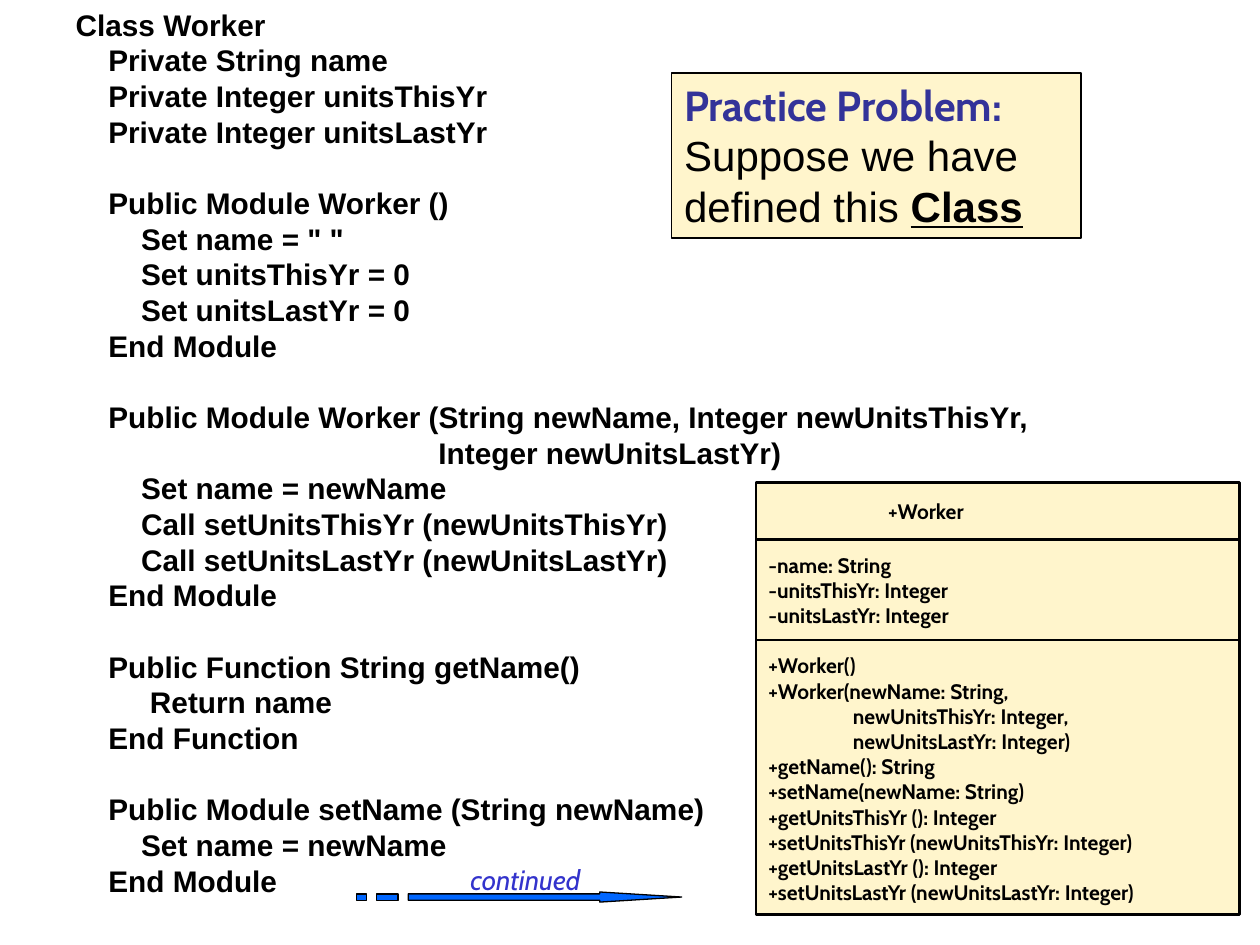
from lxml.etree import SubElement
from pptx import Presentation
from pptx.dml.color import RGBColor
from pptx.enum.shapes import MSO_CONNECTOR, MSO_SHAPE
from pptx.enum.text import MSO_ANCHOR, MSO_AUTO_SIZE, PP_ALIGN
from pptx.oxml.ns import qn
from pptx.util import Inches, Pt

COLORS = {"black": "000000", "cream": "FFF5CC", "heading": "333399",
          "note": "3333CC", "arrow": "0066FF"}
LINE_FACTOR = 1.2

# Each block is a list of (indent in inches, line of pseudocode)
STEP = 0.26
CODE_BLOCKS = [
    [(0, "Class Worker"),
     (STEP, "Private String name"),
     (STEP, "Private Integer unitsThisYr"),
     (STEP, "Private Integer unitsLastYr")],
    [(STEP, "Public Module Worker ()"),
     (2 * STEP, 'Set name = " "'),
     (2 * STEP, "Set unitsThisYr = 0"),
     (2 * STEP, "Set unitsLastYr = 0"),
     (STEP, "End Module")],
    [(STEP, "Public Module Worker (String newName, Integer newUnitsThisYr,"),
     (2.88, "Integer newUnitsLastYr)"),
     (2 * STEP, "Set name = newName"),
     (2 * STEP, "Call setUnitsThisYr (newUnitsThisYr)"),
     (2 * STEP, "Call setUnitsLastYr (newUnitsLastYr)"),
     (STEP, "End Module")],
    [(STEP, "Public Function String getName()"),
     (0.59, "Return name"),
     (STEP, "End Function")],
    [(STEP, "Public Module setName (String newName)"),
     (2 * STEP, "Set name = newName"),
     (STEP, "End Module")],
]

# Class diagram compartments: name, attributes, operations
DIAGRAM_BLOCKS = [
    [(0.95, "+Worker")],
    [(0, "-name: String"),
     (0, "-unitsThisYr: Integer"),
     (0, "-unitsLastYr: Integer")],
    [(0, "+Worker()"),
     (0, "+Worker(newName: String,"),
     (0.67, "newUnitsThisYr: Integer,"),
     (0.67, "newUnitsLastYr: Integer)"),
     (0, "+getName(): String"),
     (0, "+setName(newName: String)"),
     (0, "+getUnitsThisYr (): Integer"),
     (0, "+setUnitsThisYr (newUnitsThisYr: Integer)"),
     (0, "+getUnitsLastYr (): Integer"),
     (0, "+setUnitsLastYr (newUnitsLastYr: Integer)")],
]


def color(name):
    return RGBColor.from_string(COLORS[name])


def place(shape, left, top, width, height):
    shape.left, shape.top = Inches(left), Inches(top)
    shape.width, shape.height = Inches(width), Inches(height)


def paint(shape, fill, line_width):
    shape.fill.solid()
    shape.fill.fore_color.rgb = color(fill)
    shape.line.color.rgb = color("black")
    shape.line.width = Pt(line_width)


def style(span, font, size, shade, bold=False):
    span.font.name, span.font.size = font, Pt(size)
    span.font.bold = bold
    span.font.color.rgb = color(shade)


def write_blocks(frame, blocks, font, size):
    """Write indented lines, leaving one line of space between blocks."""
    pitch = Pt(size * LINE_FACTOR)
    first = True
    for block in blocks:
        for number, (indent, text) in enumerate(block):
            para = frame.paragraphs[0] if first else frame.add_paragraph()
            para.text = text
            para.alignment = PP_ALIGN.LEFT
            para.line_spacing = pitch
            para.space_before = pitch if number == 0 and not first else Pt(0)
            properties = para._p.get_or_add_pPr()
            properties.set("marL", str(Inches(indent)))
            properties.set("indent", "0")
            SubElement(properties, qn("a:buNone"))
            style(para.runs[0], font, size, "black", bold=True)
            first = False


def add_code(page, left, top, width, height):
    body = page.placeholders[1]
    place(body, left, top, width, height)
    frame = body.text_frame
    frame.auto_size = MSO_AUTO_SIZE.NONE
    frame.vertical_anchor = MSO_ANCHOR.TOP
    frame.margin_left = Inches(0.6)
    write_blocks(frame, CODE_BLOCKS, "Arial", 17)


def add_problem(page, left, top, width, height):
    title = page.shapes.title
    place(title, left, top, width, height)
    paint(title, "cream", 0.75)
    frame = title.text_frame
    frame.auto_size = MSO_AUTO_SIZE.NONE
    frame.vertical_anchor = MSO_ANCHOR.TOP
    para = frame.paragraphs[0]
    para.alignment = PP_ALIGN.LEFT
    para.line_spacing = Pt(24 * LINE_FACTOR)
    for text, font, shade, bold in [
            ("Practice Problem: ", "Cabin", "heading", True),
            ("Suppose we have defined this ", "Arial", "black", False),
            ("Class", "Arial", "black", True)]:
        span = para.add_run()
        span.text = text
        style(span, font, 24, shade, bold)
    span.font.underline = True


def add_diagram(page, left, top, width, height):
    box = page.shapes.add_shape(MSO_SHAPE.RECTANGLE, Inches(left), Inches(top),
                                Inches(width), Inches(height))
    box.shadow.inherit = False
    paint(box, "cream", 1.5)
    frame = box.text_frame
    frame.word_wrap = False
    frame.vertical_anchor = MSO_ANCHOR.TOP
    frame.margin_top = Inches(0.13)
    write_blocks(frame, DIAGRAM_BLOCKS, "Cabin", 12)
    # The attributes start slightly lower, below the first divider
    frame.paragraphs[1].space_before = Pt(16)

    # Dividers between the compartments
    for offset in (0.45, 1.25):
        divider = page.shapes.add_connector(
            MSO_CONNECTOR.STRAIGHT, Inches(left), Inches(top + offset),
            Inches(left + width), Inches(top + offset))
        divider.line.color.rgb = color("black")
        divider.line.width = Pt(1.5)
        SubElement(divider._element.spPr, qn("a:effectLst"))


def add_continued(page, left, top, width, height):
    # Striped arrow: a pointed shaft and two dashes behind it
    right, middle, bottom = left + width, top + height / 2, top + height
    upper, lower, head = middle - 0.025, middle + 0.025, right - 0.65
    shaft = [(head, top), (head, upper), (left + 0.41, upper),
             (left + 0.41, lower), (head, lower), (head, bottom),
             (right, middle)]
    dashes = [[(start, upper), (start, lower), (end, lower), (end, upper)]
              for start, end in ((left + 0.16, left + 0.33),
                                 (left, left + 0.08))]
    builder = page.shapes.build_freeform()
    for outline in [shaft] + dashes:
        points = [(Inches(x), Inches(y)) for x, y in outline]
        builder.move_to(*points[0])
        builder.add_line_segments(points[1:], close=True)
    arrow = builder.convert_to_shape()
    arrow.shadow.inherit = False
    paint(arrow, "arrow", 0.75)

    # Label above the arrow
    label = page.shapes.add_textbox(Inches(left + 0.74), Inches(top - 0.25),
                                    Inches(1.2), Inches(0.3))
    frame = label.text_frame
    frame.word_wrap = True
    frame.margin_top = frame.margin_bottom = 0
    frame.vertical_anchor = MSO_ANCHOR.MIDDLE
    frame.text = "continued"
    para = frame.paragraphs[0]
    para.alignment = PP_ALIGN.CENTER
    style(para.runs[0], "Cabin", 16, "note")
    para.runs[0].font.italic = True


def main():
    deck = Presentation()
    deck.slide_width, deck.slide_height = Inches(10), Inches(7.5)
    page = deck.slides.add_slide(deck.slide_layouts[1])
    add_code(page, 0, 0, 10, 7.5)
    add_continued(page, 2.83, 7.08, 2.58, 0.08)
    add_problem(page, 5.33, 0.58, 3.25, 1.31)
    add_diagram(page, 6, 3.83, 3.84, 3.43)
    deck.save("out.pptx")


if __name__ == "__main__":
    main()
